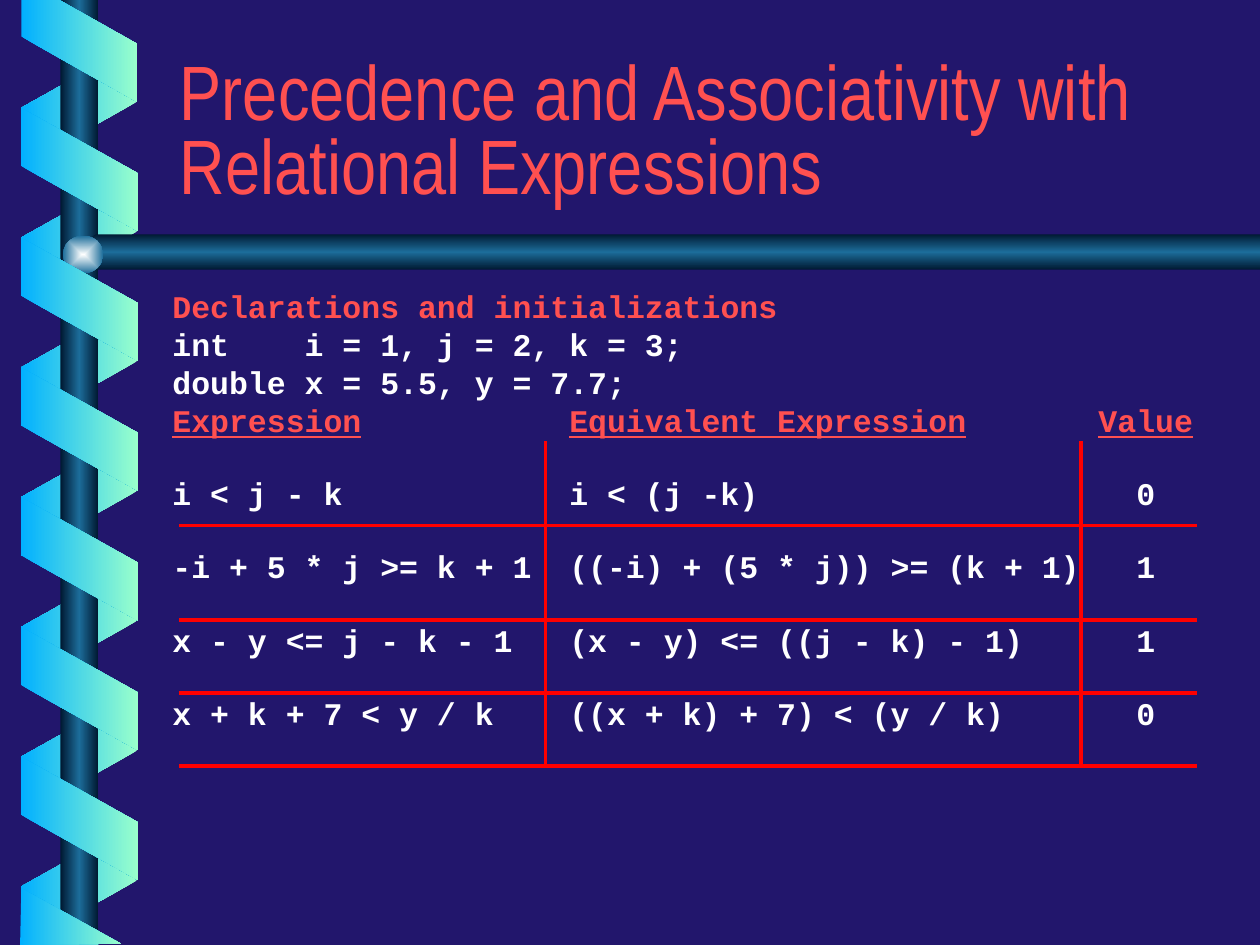
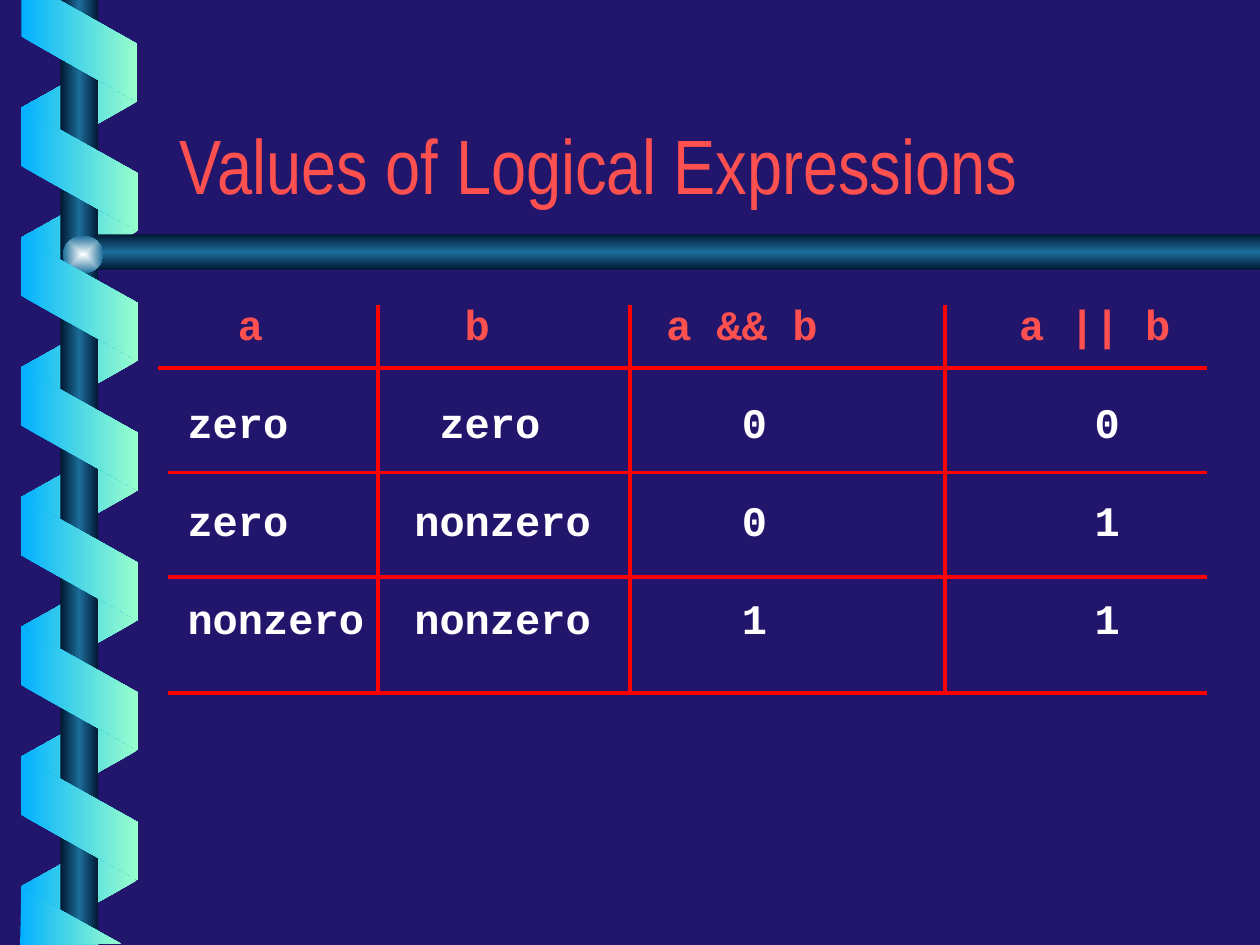
from lxml import etree
from pptx import Presentation
from pptx.dml.color import RGBColor
from pptx.enum.shapes import MSO_CONNECTOR, MSO_SHAPE
from pptx.enum.text import MSO_ANCHOR
from pptx.oxml import parse_xml
from pptx.oxml.ns import nsdecls, qn
from pptx.util import Inches, Pt

LINE = MSO_CONNECTOR.STRAIGHT
SLANT, RECT, OVAL = MSO_SHAPE.PARALLELOGRAM, MSO_SHAPE.RECTANGLE, MSO_SHAPE.OVAL
BOTTOM, TOP = MSO_ANCHOR.BOTTOM, MSO_ANCHOR.TOP

HUES = {
    "back": "22166C", "head": "FF5050", "text": "FFFFFF", "rule": "FF0000",
    "blue": "01B0FF", "mint": "99FFCC", "dark": "001932", "steel": "1C6D9A",
    "shine": "FEFFFF",
}
COIL = ("blue", "mint")
TUBE = ("dark", "steel", "dark")
TITLE, CODE = "Arial Narrow", "Courier New"
STEP = 1.03


def color(name):
    """Return the named colour."""
    return RGBColor.from_string(HUES[name])


def shade(shape, names, angle=0, glow=False):
    """Fill a shape with evenly spaced gradient stops and no outline."""
    last = len(names) - 1
    stops = "".join(
        f'<a:gs pos="{100000 * i // last}"><a:srgbClr val="{HUES[name]}"/></a:gs>'
        for i, name in enumerate(names))
    course = f'<a:lin ang="{angle * 60000}" scaled="1"/>'
    if glow:
        course = ('<a:path path="rect"><a:fillToRect l="50000" t="50000" '
                  'r="50000" b="50000"/></a:path>')
    shape.shadow.inherit = False
    shape.line.fill.background()
    shape.fill.gradient()
    props = shape._element.spPr
    props.replace(props.find(qn("a:gradFill")), parse_xml(
        f'<a:gradFill {nsdecls("a")} rotWithShape="0">'
        f'<a:gsLst>{stops}</a:gsLst>{course}</a:gradFill>'))


def preset(slide, kind, box):
    """Add a preset shape in a box given in inches."""
    return slide.shapes.add_shape(kind, *map(Inches, box))


def outline(slide, points):
    """Add a closed outline through points given in inches."""
    spots = [(Inches(x), Inches(y)) for x, y in points]
    pen = slide.shapes.build_freeform(*spots[0], scale=1.0)
    pen.add_line_segments(spots[1:], close=True)
    return pen.convert_to_shape()


def coil(slide, top, count, front):
    """Stack one side of the spiral ribbon."""
    for i in range(count):
        box = (0.14, top + i * STEP, 0.98, 0.93 if front else 0.92)
        strip = preset(slide, SLANT, box)
        strip.adjustments[0] = 0.56
        strip.rotation = 270 if front else 90
        if not front:
            strip._element.spPr.find(qn("a:xfrm")).set("flipH", "1")
        shade(strip, COIL if front else COIL[::-1])


def frame(slide):
    """Draw the background, spiral, pole and bar that every slide has."""
    slide.background.fill.solid()
    slide.background.fill.fore_color.rgb = color("back")
    coil(slide, 0.37, 7, False)
    shade(preset(slide, RECT, (0.48, 0, 0.3, 7.5)), TUBE)
    bar = [(10, 1.86), (0.76, 1.86), (0.6, 2), (0.76, 2.14), (10, 2.14)]
    shade(outline(slide, bar), TUBE, angle=90)
    ball = preset(slide, OVAL, (0.5, 1.87, 0.32, 0.3))
    shade(ball, ("shine", "steel"), glow=True)
    coil(slide, 0.88, 6, True)
    start = [(0.17, 0), (0.17, 0.29), (1.09, 0.81), (1.09, 0.35), (0.47, 0)]
    end = [(0.96, 7.49), (0.17, 7.05), (0.16, 7.5)]
    for points in (start, end):
        shade(outline(slide, points), COIL)


def text_box(slide, box, anchor=TOP):
    """Add a wrapping text box and return its frame."""
    body = slide.shapes.add_textbox(*map(Inches, box)).text_frame
    body.word_wrap = True
    body.vertical_anchor = anchor
    return body


def style(para, face, size, hue):
    """Set the font of a whole paragraph."""
    para.font.name = face
    para.font.size = Pt(size)
    para.font.color.rgb = color(hue)


def title(slide, text):
    """Add the slide title."""
    para = text_box(slide, (1.33, 0.46, 8.5, 1.25), BOTTOM).paragraphs[0]
    para.text = text
    para.line_spacing = 0.8
    style(para, TITLE, 44, "head")


def set_tabs(para, stops, size):
    """Set left tab stops counted in monospaced characters."""
    tabs = etree.SubElement(para._p.get_or_add_pPr(), qn("a:tabLst"))
    for stop in stops:
        spot = Pt(stop * size * 0.6)
        etree.SubElement(tabs, qn("a:tab"), pos=str(int(spot)), algn="l")


def code(slide, box, size, rows):
    """Write rows of (cells, stops, hue, gap, underline) in aligned columns."""
    body = text_box(slide, box)
    for i, (cells, stops, hue, gap, under) in enumerate(rows):
        para = body.add_paragraph() if i else body.paragraphs[0]
        para.text = "\t".join(cells)
        para.space_before = Pt(round(size * 1.133, 1) if gap else 0)
        set_tabs(para, stops, size)
        style(para, CODE, size, hue)
        para.font.bold = True
        if under:
            para.font.underline = True


def rule(slide, start, end):
    """Draw one red line between two points in inches."""
    ends = map(Inches, (*start, *end))
    line = slide.shapes.add_connector(LINE, *ends)
    line.line.color.rgb = color("rule")
    line.line.width = Pt(2)
    etree.SubElement(line._element.spPr, qn("a:effectLst"))


def grid(slide, top, cols, lines, right):
    """Draw column lines from the top, and row lines given as (left, y)."""
    for x in cols:
        rule(slide, (x, top), (x, lines[-1][1]))
    for left, y in lines:
        rule(slide, (left, y), (right, y))


def precedence(slide):
    """Build the slide on relational expressions."""
    frame(slide)
    title(slide, "Precedence and Associativity with Relational Expressions")
    rows = [
        (["Declarations and initializations"], (), "head", False, False),
        (["int", "i = 1, j = 2, k = 3;"], (7,), "text", False, False),
        (["double x = 5.5, y = 7.7;"], (), "text", False, False),
        (["Expression", "Equivalent Expression", "Value"], (21, 49),
         "head", False, True),
    ]
    facts = [
        ("i < j - k", "i < (j -k)", "0"),
        ("-i + 5 * j >= k + 1", "((-i) + (5 * j)) >= (k + 1)", "1"),
        ("x - y <= j - k - 1", "(x - y) <= ((j - k) - 1)", "1"),
        ("x + k + 7 < y / k", "((x + k) + 7) < (y / k)", "0"),
    ]
    rows += [(cells, (21, 51), "text", True, False) for cells in facts]
    code(slide, (1.27, 2.23, 8.5, 3.7), 18, rows)
    lines = [(1.42, y) for y in (4.17, 4.92, 5.5, 6.08)]
    grid(slide, 3.5, (4.33, 8.58), lines, 9.5)


def logic(slide):
    """Build the slide on logical expressions."""
    frame(slide)
    title(slide, "Values of Logical Expressions")
    rows = [(["", "a", "b", "a && b", "a || b"], (2, 11, 19, 33),
             "head", False, False)]
    facts = [
        (("zero", "zero", "0", "0"), 10),
        (("zero", "nonzero", "0", "1"), 9),
        (("nonzero", "nonzero", "1", "1"), 9),
    ]
    rows += [(cells, (second, 22, 36), "text", True, False)
             for cells, second in facts]
    code(slide, (1.39, 2.32, 8.3, 2.9), 24, rows)
    lines = [(1.25, 2.92), (1.33, 3.75), (1.33, 4.58), (1.33, 5.5)]
    grid(slide, 2.42, (3, 5, 7.5), lines, 9.58)


def main():
    """Build and save the deck."""
    deck = Presentation()
    deck.slide_width, deck.slide_height = Inches(10), Inches(7.5)
    for build in (precedence, logic):
        build(deck.slides.add_slide(deck.slide_layouts[6]))
    deck.save("out.pptx")


if __name__ == "__main__":
    main()
